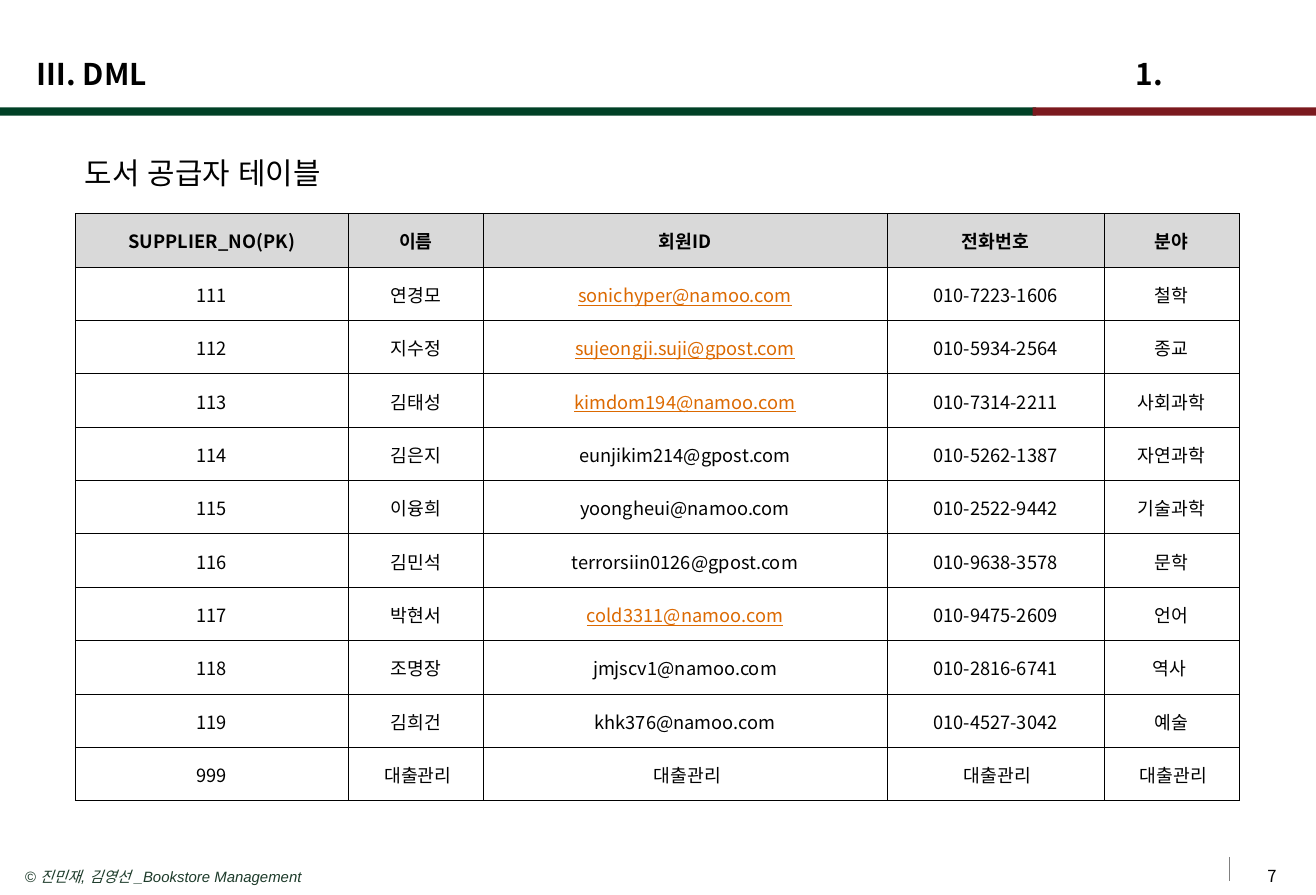
from dataclasses import dataclass

from lxml import etree
from pptx import Presentation
from pptx.dml.color import RGBColor
from pptx.enum.shapes import MSO_CONNECTOR, MSO_SHAPE
from pptx.enum.text import MSO_ANCHOR, PP_ALIGN
from pptx.oxml.ns import qn
from pptx.slide import Slide
from pptx.table import _Cell
from pptx.text.text import _Paragraph
from pptx.util import Emu, Inches, Pt

BLACK = RGBColor(0x00, 0x00, 0x00)
GREEN = RGBColor(0x00, 0x41, 0x26)
RED = RGBColor(0x7B, 0x19, 0x1E)
GRAY = RGBColor(0x80, 0x80, 0x80)
FOOTER_GREEN = RGBColor(0x1D, 0x3B, 0x2A)
HEADER_GRAY = RGBColor(0xD9, 0xD9, 0xD9)
LINK_ORANGE = RGBColor(0xDC, 0x69, 0x00)

LEFT, CENTER = PP_ALIGN.LEFT, PP_ALIGN.CENTER
TOP, MIDDLE = MSO_ANCHOR.TOP, MSO_ANCHOR.MIDDLE
RECTANGLE = MSO_SHAPE.RECTANGLE
STRAIGHT = MSO_CONNECTOR.STRAIGHT

SANS = "Noto Sans CJK KR"
ARIAL = "Arial"

SLIDE_WIDTH = Emu(10080625)  # 28 cm on the 1/576 inch grid
SLIDE_HEIGHT = Inches(7.5)


@dataclass(frozen=True)
class TextStyle:
    size: float
    font: str = SANS
    color: RGBColor = BLACK
    bold: bool = False
    italic: bool = False
    underline: bool = False
    align: PP_ALIGN = LEFT


@dataclass(frozen=True)
class Label:
    text: str
    left: float
    top: float
    width: float
    height: float
    style: TextStyle
    anchor: MSO_ANCHOR = TOP
    padded: bool = True
    wrap: bool = True


@dataclass(frozen=True)
class Bar:
    left: float
    width: float
    color: RGBColor


HEADING = TextStyle(18, bold=True)
HEADER_CELL = TextStyle(11, bold=True, align=CENTER)
BODY_CELL = TextStyle(11, align=CENTER)
LINK_CELL = TextStyle(11, color=LINK_ORANGE, underline=True, align=CENTER)

BARS = [Bar(0, 8.68, GREEN), Bar(8.65, 2.38, RED)]

LABELS = [
    Label("© 진민재, 김영선 _Bookstore Management", 0.11, 7.22, 7.94, 0.25,
          TextStyle(9, ARIAL, FOOTER_GREEN, italic=True)),
    Label(" Ⅲ. DML", 0.25, 0.37, 2.65, 0.49, HEADING, MIDDLE, padded=False),
    Label("7", 10.3, 7.18, 0.71, 0.32, TextStyle(10, align=CENTER), MIDDLE),
    Label(" 1.", 9.46, 0.37, 2.17, 0.49, HEADING, MIDDLE, padded=False),
    Label("도서 공급자 테이블", 0.61, 1.25, 2.45, 0.4, TextStyle(18, ARIAL), wrap=False),
]

COLUMN_WIDTHS = [2.29, 1.13, 3.38, 1.82, 1.13]
TABLE_HEIGHT = 4.92
EMAIL_COLUMN = 2
LINKED_SUPPLIERS = {"111", "112", "113", "117"}
SUPPLIERS = [
    ("SUPPLIER_NO(PK)", "이름", "회원ID", "전화번호", "분야"),
    ("111", "연경모", "sonichyper@namoo.com", "010-7223-1606", "철학"),
    ("112", "지수정", "sujeongji.suji@gpost.com", "010-5934-2564", "종교"),
    ("113", "김태성", "kimdom194@namoo.com", "010-7314-2211", "사회과학"),
    ("114", "김은지", "eunjikim214@gpost.com", "010-5262-1387", "자연과학"),
    ("115", "이융희", "yoongheui@namoo.com", "010-2522-9442", "기술과학"),
    ("116", "김민석", "terrorsiin0126@gpost.com", "010-9638-3578", "문학"),
    ("117", "박현서", "cold3311@namoo.com", "010-9475-2609", "언어"),
    ("118", "조명장", "jmjscv1@namoo.com", "010-2816-6741", "역사 "),
    ("119", "김희건", "khk376@namoo.com", "010-4527-3042", "예술"),
    ("999",) + (" 대출관리",) * 4,
]


def write_text(para: _Paragraph, text: str, style: TextStyle) -> None:
    para.text = text
    para.alignment = style.align
    font = para.font
    font.name = style.font
    font.size = Pt(style.size)
    font.bold = style.bold
    font.italic = style.italic
    font.underline = style.underline
    font.color.rgb = style.color
    defaults = para._p.pPr.find(qn("a:defRPr"))
    etree.SubElement(defaults, qn("a:ea"), typeface=style.font)


def add_label(page: Slide, label: Label) -> None:
    box = page.shapes.add_textbox(Inches(label.left), Inches(label.top),
                                  Inches(label.width), Inches(label.height))
    frame = box.text_frame
    frame.word_wrap = label.wrap
    frame.vertical_anchor = label.anchor
    if not label.padded:
        frame.margin_left = frame.margin_right = 0
        frame.margin_top = frame.margin_bottom = 0
    write_text(frame.paragraphs[0], label.text, label.style)


def add_bar(page: Slide, bar: Bar) -> None:
    shape = page.shapes.add_shape(RECTANGLE, Inches(bar.left), Inches(0.9),
                                  Inches(bar.width), Inches(0.07))
    shape.shadow.inherit = False
    shape.fill.solid()
    shape.fill.fore_color.rgb = bar.color
    shape.line.fill.background()


def add_page_divider(page: Slide) -> None:
    line = page.shapes.add_connector(STRAIGHT, Inches(10.3), Inches(7.18),
                                     Inches(10.3), Inches(7.38))
    line.line.color.rgb = GRAY
    line.line.width = Pt(0.75)
    etree.SubElement(line._element.spPr, qn("a:effectLst"))


def set_borders(cell: _Cell) -> None:
    """Put a thin black line on all four sides, ahead of the fill."""
    properties = cell._tc.get_or_add_tcPr()
    for index, side in enumerate(("a:lnL", "a:lnR", "a:lnT", "a:lnB")):
        border = etree.Element(qn(side), w=str(Pt(0.5)))
        fill = etree.SubElement(border, qn("a:solidFill"))
        etree.SubElement(fill, qn("a:srgbClr"), val=str(BLACK))
        properties.insert(index, border)


def cell_style(row: int, column: int) -> TextStyle:
    if row == 0:
        return HEADER_CELL
    if column == EMAIL_COLUMN and SUPPLIERS[row][0] in LINKED_SUPPLIERS:
        return LINK_CELL
    return BODY_CELL


def fill_cell(cell: _Cell, text: str, style: TextStyle) -> None:
    cell.vertical_anchor = MIDDLE
    cell.margin_left = cell.margin_right = cell.margin_top = Inches(0.01)
    cell.margin_bottom = 0
    if style is HEADER_CELL:
        cell.fill.solid()
        cell.fill.fore_color.rgb = HEADER_GRAY
    else:
        cell.fill.background()
    set_borders(cell)
    write_text(cell.text_frame.paragraphs[0], text, style)


def add_supplier_table(page: Slide) -> None:
    table = page.shapes.add_table(
        len(SUPPLIERS), len(COLUMN_WIDTHS), Inches(0.63), Inches(1.79),
        Inches(sum(COLUMN_WIDTHS)), Inches(TABLE_HEIGHT)).table
    table.horz_banding = False
    for column, width in zip(table.columns, COLUMN_WIDTHS):
        column.width = Inches(width)
    for row, supplier in enumerate(SUPPLIERS):
        for column, text in enumerate(supplier):
            fill_cell(table.cell(row, column), text, cell_style(row, column))


def main() -> None:
    deck = Presentation()
    deck.slide_width = SLIDE_WIDTH
    deck.slide_height = SLIDE_HEIGHT
    page = deck.slides.add_slide(deck.slide_layouts[6])
    for bar in BARS:
        add_bar(page, bar)
    add_page_divider(page)
    for label in LABELS:
        add_label(page, label)
    add_supplier_table(page)
    deck.save("out.pptx")


if __name__ == "__main__":
    main()
